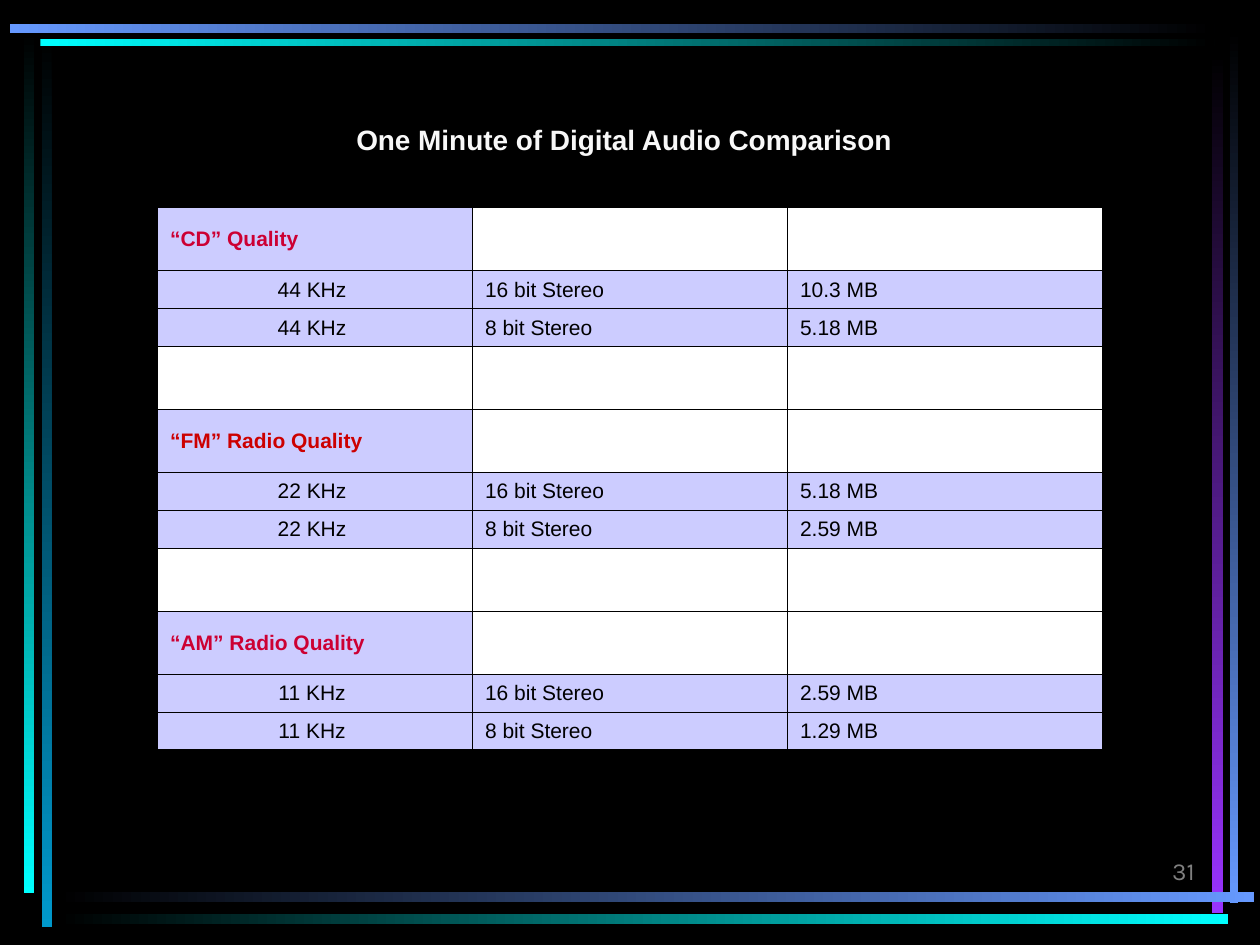
"""Build the digital audio comparison slide on a grid of 1000 columns by 750 rows."""
from lxml.etree import SubElement
from pptx import Presentation
from pptx.dml.color import RGBColor
from pptx.enum.shapes import MSO_SHAPE
from pptx.enum.text import MSO_ANCHOR, PP_ALIGN
from pptx.oxml.ns import qn
from pptx.util import Inches, Pt


def rgb(hex_text):
    return RGBColor.from_string(hex_text)


def add_run(p, text, size, color, bold=False, font="Arial"):
    r = p.add_run()
    r.text = text
    r.font.size = Pt(size)
    r.font.name = font
    r.font.bold = bold
    r.font.color.rgb = rgb(color)


prs = Presentation()
prs.slide_width, prs.slide_height = Inches(10), Inches(7.5)
U = prs.slide_width // 1000
s = prs.slides.add_slide(prs.slide_layouts[6])
s.background.fill.solid()
s.background.fill.fore_color.rgb = rgb("000000")

DOWN, ACROSS = 270, 0
bars = [
    (33, 28, 8, 708, "000000", "0099CC", DOWN),
    (19, 25, 8, 684, "000000", "00FFFF", DOWN),
    (976, 24, 7, 693, "000000", "6699FF", DOWN),
    (962, 42, 9, 683, "000000", "9933FF", DOWN),
    (45, 708, 950, 8, "000000", "6699FF", ACROSS),
    (45, 725, 930, 8, "000000", "00FFFF", ACROSS),
    (32, 31, 932, 6, "00FFFF", "000000", ACROSS),
    (8, 19, 956, 7, "6699FF", "000000", ACROSS),
]
for x, y, w, h, start, end, angle in bars:
    sp = s.shapes.add_shape(MSO_SHAPE.RECTANGLE, x * U, y * U, w * U, h * U)
    sp.shadow.inherit = False
    sp.line.fill.background()
    sp.fill.gradient()
    sp.fill.gradient_angle = angle
    for stop, color in zip(sp.fill.gradient_stops, (start, end)):
        stop.color.rgb = rgb(color)

labels = [
    (750, 658, 208, 50, "31", 14, "808080", False, "Karla",
     PP_ALIGN.RIGHT, MSO_ANCHOR.BOTTOM, True),
    (270, 92, 457, 77, "One Minute of Digital Audio Comparison ", 16, "F8F8F8", True, "Arial",
     PP_ALIGN.CENTER, MSO_ANCHOR.TOP, False),
]
for x, y, w, h, text, size, color, bold, font, align, anchor, wrap in labels:
    tf = s.shapes.add_textbox(x * U, y * U, w * U, h * U).text_frame
    tf.word_wrap = wrap
    tf.vertical_anchor = anchor
    p = tf.paragraphs[0]
    p.alignment = align
    add_run(p, text, size, color, bold, font)

groups = [
    ("“CD” Quality", "CC0033", "44 KHz ", "10.3 MB", "5.18 MB"),
    ("“FM” Radio Quality", "CC0000", "22 KHz ", "5.18 MB", "2.59 MB"),
    ("“AM” Radio Quality", "CC0033", "11 KHz ", "2.59 MB", "1.29 MB"),
]
rows = []
for heading, color, rate, size_16, size_8 in groups:
    if rows:
        rows.append((50, "000000", ("", "", "")))
    rows.append((50, color, (heading, "", "")))
    rows.append((30, "000000", (rate, "16 bit Stereo", size_16)))
    rows.append((30, "000000", (rate, "8 bit Stereo", size_8)))

height = sum(row[0] for row in rows)
table = s.shapes.add_table(len(rows), 3, 125 * U, 165 * U, 750 * U, height * U).table
for i, (row_height, color, texts) in enumerate(rows):
    table.rows[i].height = row_height * U
    for j, text in enumerate(texts):
        cell = table.cell(i, j)
        cell.vertical_anchor = MSO_ANCHOR.MIDDLE
        tcPr = cell._tc.get_or_add_tcPr()
        for side in ("a:lnL", "a:lnR", "a:lnT", "a:lnB"):
            ln = SubElement(tcPr, qn(side), w=str(Pt(0.75)))
            SubElement(SubElement(ln, qn("a:solidFill")), qn("a:srgbClr"), val="000000")
        cell.fill.solid()
        cell.fill.fore_color.rgb = rgb("CCCCFF" if text else "FFFFFF")
        if text:
            p = cell.text_frame.paragraphs[0]
            is_rate = j == 0 and row_height == 30
            p.alignment = PP_ALIGN.CENTER if is_rate else PP_ALIGN.LEFT
            add_run(p, text, 12, color, bold=row_height == 50)

prs.save("out.pptx")
